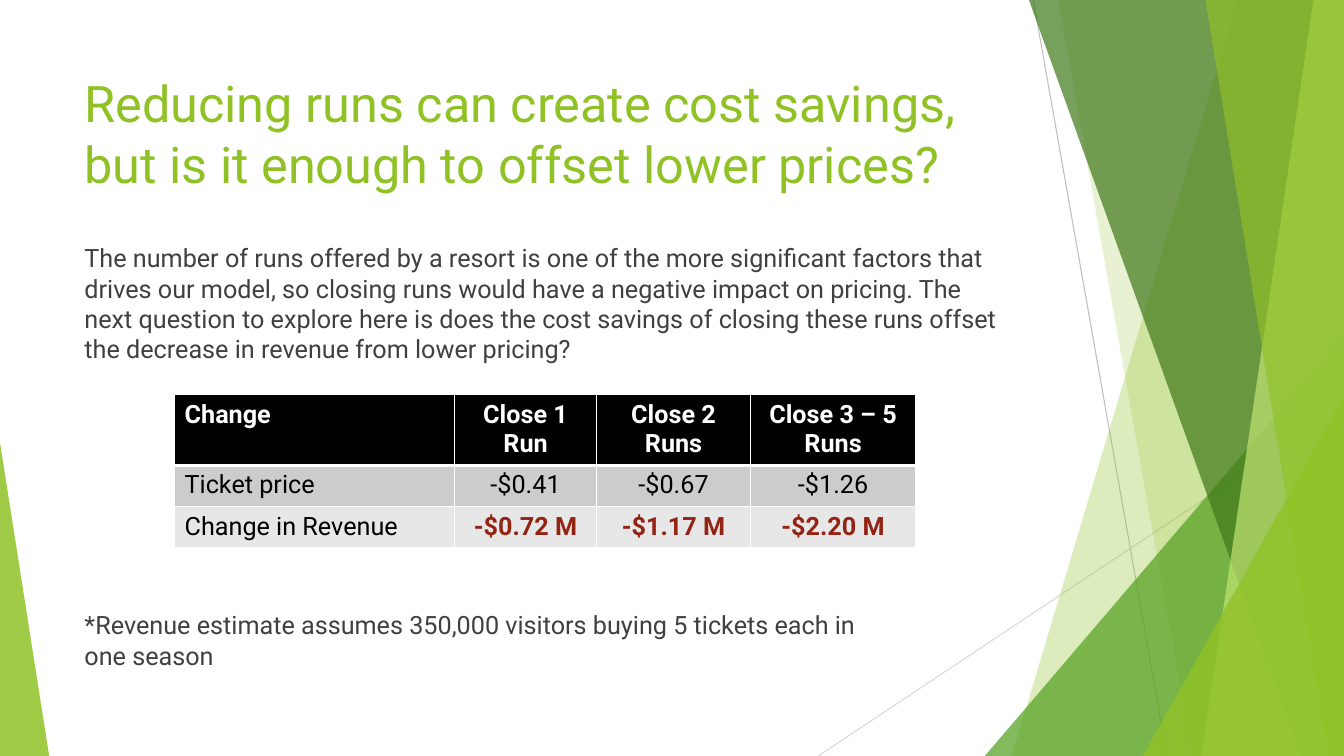
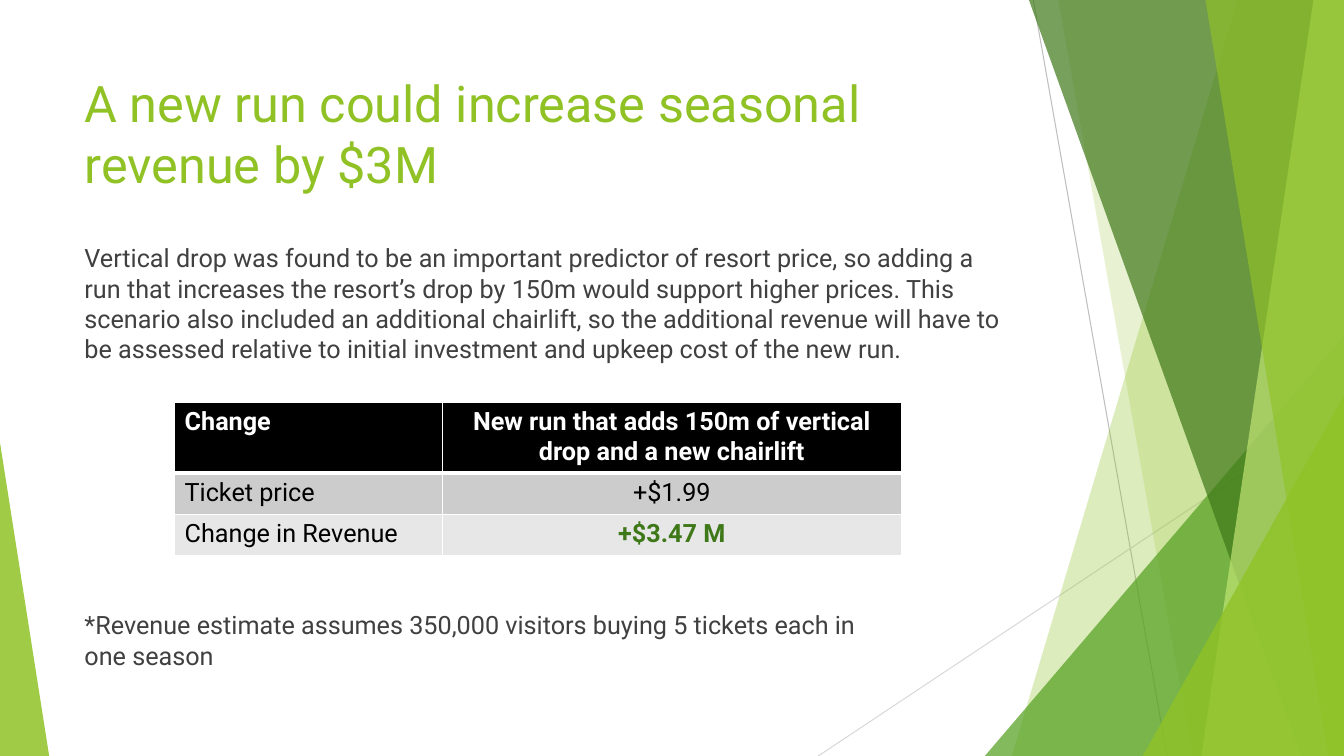
from dataclasses import dataclass

from lxml.etree import SubElement
from pptx import Presentation
from pptx.dml.color import RGBColor
from pptx.enum.shapes import MSO_CONNECTOR as Conn, MSO_SHAPE as Shp
from pptx.enum.text import PP_ALIGN as Align
from pptx.oxml import parse_xml
from pptx.oxml.ns import nsdecls, qn
from pptx.util import Cm, Pt

FONT = "Roboto"
LIME, GREEN, FOREST, PALE = "90C226", "54A021", "3F7819", "C0E474"
WHITE, BLACK, TEXT, RED = "FFFFFF", "000000", "404040", "932313"
HEADER_FILL, ROW_FILLS = BLACK, ("CCCCCC", "E7E7E7")
WIDTH, HEIGHT = 33.87, 19.05
MARGIN, TEXT_WIDTH = 1.88, 23.88
TABLE_LEFT, ROW_HEIGHT = 4.4, 1.04
NOTE = "*Revenue estimate assumes 350,000 visitors buying 5 tickets each in one season"


@dataclass(frozen=True)
class Band:
    """A band from the slide's top to its bottom, filled out to the right edge."""
    top_x: float
    bottom_x: float
    color: str
    opacity: int


@dataclass(frozen=True)
class Corner:
    """A triangle standing on the bottom edge, its peak at one side (0 left, 1 right)."""
    left: float
    width: float
    height: float
    peak: int
    color: str
    opacity: int


@dataclass(frozen=True)
class Ray:
    x1: float
    y1: float
    x2: float
    y2: float
    color: str


@dataclass(frozen=True)
class Scenario:
    title: str
    body: str
    table_top: float
    col_widths: tuple[float, ...]
    rows: tuple[tuple[str, ...], ...]
    result_color: str


RAYS = (
    Ray(26.04, 0, 29.41, HEIGHT, "BFBFBF"),
    Ray(WIDTH, 10.24, 20.62, HEIGHT, "D9D9D9"),
)
# Back to front
FACETS = (
    Band(31.19, 25.5, LIME, 30),
    Band(26.67, 30.05, LIME, 20),
    Corner(24.82, 9.05, 10.59, 1, GREEN, 72),
    Band(25.93, 32.79, FOREST, 70),
    Band(33.1, 30.28, PALE, 70),
    Band(30.38, 33.48, LIME, 65),
    Corner(28.8, 5.07, 9.07, 1, LIME, 80),
    Corner(0, 1.24, 7.9, 0, LIME, 85),
)

SCENARIOS = (
    Scenario(
        "Reducing runs can create cost savings, but is it enough to offset lower prices?",
        "The number of runs offered by a resort is one of the more significant factors "
        "that drives our model, so closing runs would have a negative impact on pricing. "
        "The next question to explore here is does the cost savings of closing these runs "
        "offset the decrease in revenue from lower pricing?",
        9.95,
        (7.06, 3.57, 3.89, 4.15),
        (("Change", "Close 1 Run", "Close 2 Runs", "Close 3 – 5 Runs"),
         ("Ticket price", "-$0.41", "-$0.67", "-$1.26"),
         ("Change in Revenue", "-$0.72 M", "-$1.17 M", "-$2.20 M")),
        RED,
    ),
    Scenario(
        "A new run could increase seasonal revenue by $3M",
        "Vertical drop was found to be an important predictor of resort price, so adding "
        "a run that increases the resort’s drop by 150m would support higher prices. This "
        "scenario also included an additional chairlift, so the additional revenue will "
        "have to be assessed relative to initial investment and upkeep cost of the new run.",
        10.14,
        (6.75, 11.56),
        (("Change", "New run that adds 150m of vertical drop and a new chairlift"),
         ("Ticket price", "+$1.99"),
         ("Change in Revenue", "+$3.47 M")),
        FOREST,
    ),
)


def rgb(color: str) -> RGBColor:
    return RGBColor.from_string(color)


def paint(shape, color: str, opacity: int) -> None:
    """Fill a shape with a see-through colour, without outline or shadow."""
    shape.shadow.inherit = False
    shape.line.fill.background()
    shape.fill.solid()
    shape.fill.fore_color.rgb = rgb(color)
    clr = shape.fill._xPr.find(f"{qn('a:solidFill')}/{qn('a:srgbClr')}")
    SubElement(clr, qn("a:alpha"), val=str(opacity * 1000))


def draw_ray(s, ray: Ray) -> None:
    line = s.shapes.add_connector(Conn.STRAIGHT, Cm(ray.x1), Cm(ray.y1), Cm(ray.x2), Cm(ray.y2))
    line.line.color.rgb = rgb(ray.color)
    line.line.width = Pt(0.75)
    SubElement(line._element.spPr, qn("a:effectLst"))


def draw_band(s, band: Band) -> None:
    outline = s.shapes.build_freeform(Cm(band.top_x), 0)
    corners = ((WIDTH, 0), (WIDTH, HEIGHT), (band.bottom_x, HEIGHT))
    outline.add_line_segments([(Cm(x), Cm(y)) for x, y in corners], close=True)
    paint(outline.convert_to_shape(), band.color, band.opacity)


def draw_corner(s, corner: Corner) -> None:
    sp = s.shapes.add_shape(Shp.ISOSCELES_TRIANGLE, Cm(corner.left), Cm(HEIGHT - corner.height),
                            Cm(corner.width), Cm(corner.height))
    sp.adjustments[0] = corner.peak
    paint(sp, corner.color, corner.opacity)


def draw_backdrop(s) -> None:
    for ray in RAYS:
        draw_ray(s, ray)
    for facet in FACETS:
        if isinstance(facet, Band):
            draw_band(s, facet)
        else:
            draw_corner(s, facet)


def style_text(p, size: float, color: str, bold: bool = False) -> None:
    for r in p.runs:
        r.font.name = FONT
        r.font.size = Pt(size)
        r.font.bold = bold
        r.font.color.rgb = rgb(color)


def add_text(s, text: str, top: float, width: float, height: float,
             size: float = 18, color: str = TEXT, before: float = 10) -> None:
    tf = s.shapes.add_textbox(Cm(MARGIN), Cm(top), Cm(width), Cm(height)).text_frame
    tf.word_wrap = True
    tf.text = text
    p = tf.paragraphs[0]
    p.space_before = Pt(before)
    style_text(p, size, color)


def set_borders(cell, top: float, bottom: float) -> None:
    """White rules round a cell; they stand before the fill in the cell's XML."""
    tc_pr = cell._tc.get_or_add_tcPr()
    for i, (side, width) in enumerate((("L", 1), ("R", 1), ("T", top), ("B", bottom))):
        tc_pr.insert(i, parse_xml(
            f'<a:ln{side} {nsdecls("a")} w="{Pt(width)}"><a:solidFill>'
            f'<a:srgbClr val="{WHITE}"/></a:solidFill></a:ln{side}>'))


def add_results(s, scenario: Scenario) -> None:
    rows, widths = scenario.rows, scenario.col_widths
    table = s.shapes.add_table(len(rows), len(widths), Cm(TABLE_LEFT), Cm(scenario.table_top),
                               Cm(sum(widths)), Cm(ROW_HEIGHT * len(rows))).table
    table.horz_banding = False
    for col, width in zip(table.columns, widths):
        col.width = Cm(width)
    for i, row in enumerate(rows):
        table.rows[i].height = Cm(ROW_HEIGHT)
        for j, text in enumerate(row):
            cell = table.cell(i, j)
            header, result = i == 0, i == len(rows) - 1 and j > 0
            cell.fill.solid()
            cell.fill.fore_color.rgb = rgb(HEADER_FILL if header else ROW_FILLS[i - 1])
            set_borders(cell, 3 if i == 1 else 1, 3 if header else 1)
            cell.text_frame.text = text
            p = cell.text_frame.paragraphs[0]
            p.alignment = Align.CENTER if j else Align.LEFT
            color = WHITE if header else scenario.result_color if result else BLACK
            style_text(p, 18, color, bold=header or result)


def add_scenario(prs, scenario: Scenario) -> None:
    s = prs.slides.add_slide(prs.slide_layouts[6])
    draw_backdrop(s)
    add_text(s, scenario.title, 1.7, TEXT_WIDTH, 3.66, size=36, color=LIME, before=0)
    add_text(s, scenario.body, 5.99, TEXT_WIDTH, 3.84)
    add_results(s, scenario)
    add_text(s, NOTE, 15.24, 21.11, 2.67)


def main() -> None:
    prs = Presentation()
    prs.slide_width, prs.slide_height = Cm(WIDTH), Cm(HEIGHT)
    for scenario in SCENARIOS:
        add_scenario(prs, scenario)
    prs.save("out.pptx")


if __name__ == "__main__":
    main()
